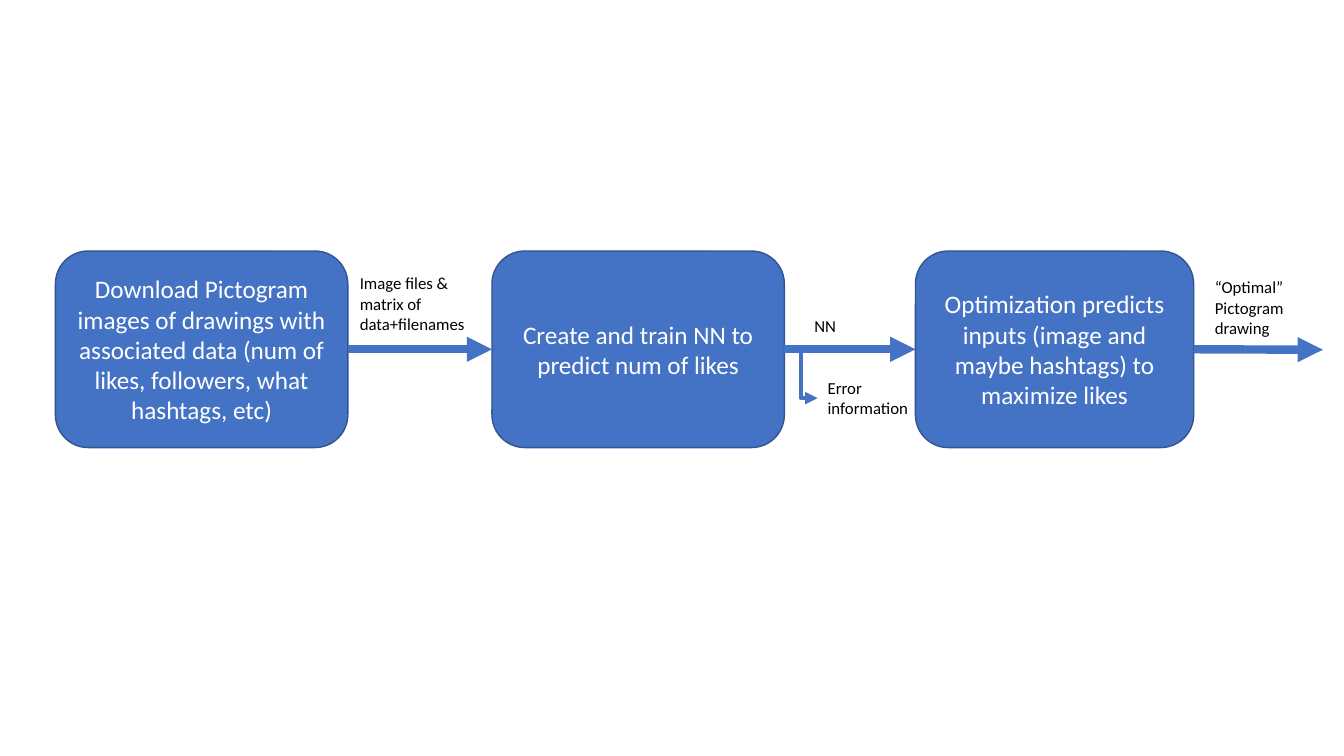
import pptx
import pptx.util
import pptx.dml.color
import pptx.enum.dml
import pptx.enum.shapes
import pptx.enum.text
import pptx.oxml
import pptx.oxml.ns

Inches = pptx.util.Inches
Pt = pptx.util.Pt
Kind = pptx.enum.shapes.MSO_CONNECTOR
Align = pptx.enum.text.PP_ALIGN
BLUE, EDGE, WHITE, BLACK = "4472C4", "325491", "FFFFFF", "000000"


def paint(form, color):
    """Give a fill or font colour format a solid hex colour."""
    if hasattr(form, "solid"):
        form.solid()
        form = form.fore_color
    form.rgb = pptx.dml.color.RGBColor.from_string(color)


def write(frame, text, align, size, color):
    frame.word_wrap = True
    para = frame.paragraphs[0]
    para.alignment = align
    run = para.add_run()
    run.text = text
    for name, value in {"name": "Calibri", "size": Pt(size)}.items():
        setattr(run.font, name, value)
    paint(run.font.color, color)


deck = pptx.Presentation()
deck.slide_width, deck.slide_height = Inches(13.33), Inches(7.5)
slide = deck.slides.add_slide(deck.slide_layouts[6])
shapes = slide.shapes

# Process steps: left, width, text
top, high = 2.49, 1.95
mid = 3.47
steps = [
    (0.55, 2.9, "Download Pictogram images of drawings with associated data "
                "(num of likes, followers, what hashtags, etc)"),
    (4.88, 2.9, "Create and train NN to predict num of likes"),
    (9.08, 2.76, "Optimization predicts inputs (image and maybe hashtags) "
                 "to maximize likes"),
]
boxes = []
for left, wide, text in steps:
    box = shapes.add_shape(pptx.enum.shapes.MSO_SHAPE.ROUNDED_RECTANGLE,
                           Inches(left), Inches(top), Inches(wide), Inches(high))
    box.shadow.inherit = False
    paint(box.fill, BLUE)
    paint(box.line.fill, EDGE)
    box.line.width = Pt(1)
    box.text_frame.vertical_anchor = pptx.enum.text.MSO_ANCHOR.MIDDLE
    write(box.text_frame, text, Align.CENTER, 18, WHITE)
    boxes.append(box)

# Arrows: kind, source, target, end point, line width
first, train, best = boxes
arrows = [
    (Kind.STRAIGHT, first, train, (4.88, mid), 6),
    (Kind.STRAIGHT, train, best, (9.08, mid), 6),
    (Kind.ELBOW, train, None, (8.11, 3.95), 3),
    (Kind.STRAIGHT, best, None, (13.12, mid), 6),
]
for kind, source, target, (x, y), width in arrows:
    arrow = shapes.add_connector(kind, source.left + source.width, Inches(mid),
                                 Inches(x), Inches(y))
    arrow.begin_connect(source, 3)
    if target is not None:
        arrow.end_connect(target, 1)
    paint(arrow.line.fill, BLUE)
    arrow.line.width = Pt(width)
    space = pptx.oxml.ns.nsdecls("a")
    props = arrow.line._get_or_add_ln()
    props.append(pptx.oxml.parse_xml(f'<a:tailEnd {space} type="triangle"/>'))
    props.getparent().append(pptx.oxml.parse_xml(f"<a:effectLst {space}/>"))

# Arrow labels: left, top, width, height, alignment, text
labels = [
    (3.47, 2.66, 1.3, 0.71, Align.LEFT, "Image files & matrix of data+filenames"),
    (7.55, 3.08, 1.27, 0.3, Align.CENTER, "NN"),
    (8.11, 3.7, 1.08, 0.5, Align.LEFT, "Error information"),
    (11.95, 2.7, 1.18, 0.71, Align.LEFT, "“Optimal” Pictogram drawing"),
]
for *place, align, text in labels:
    label = shapes.add_textbox(*map(Inches, place))
    write(label.text_frame, text, align, 12, BLACK)
    label.text_frame.auto_size = pptx.enum.text.MSO_AUTO_SIZE.SHAPE_TO_FIT_TEXT

deck.save("out.pptx")
